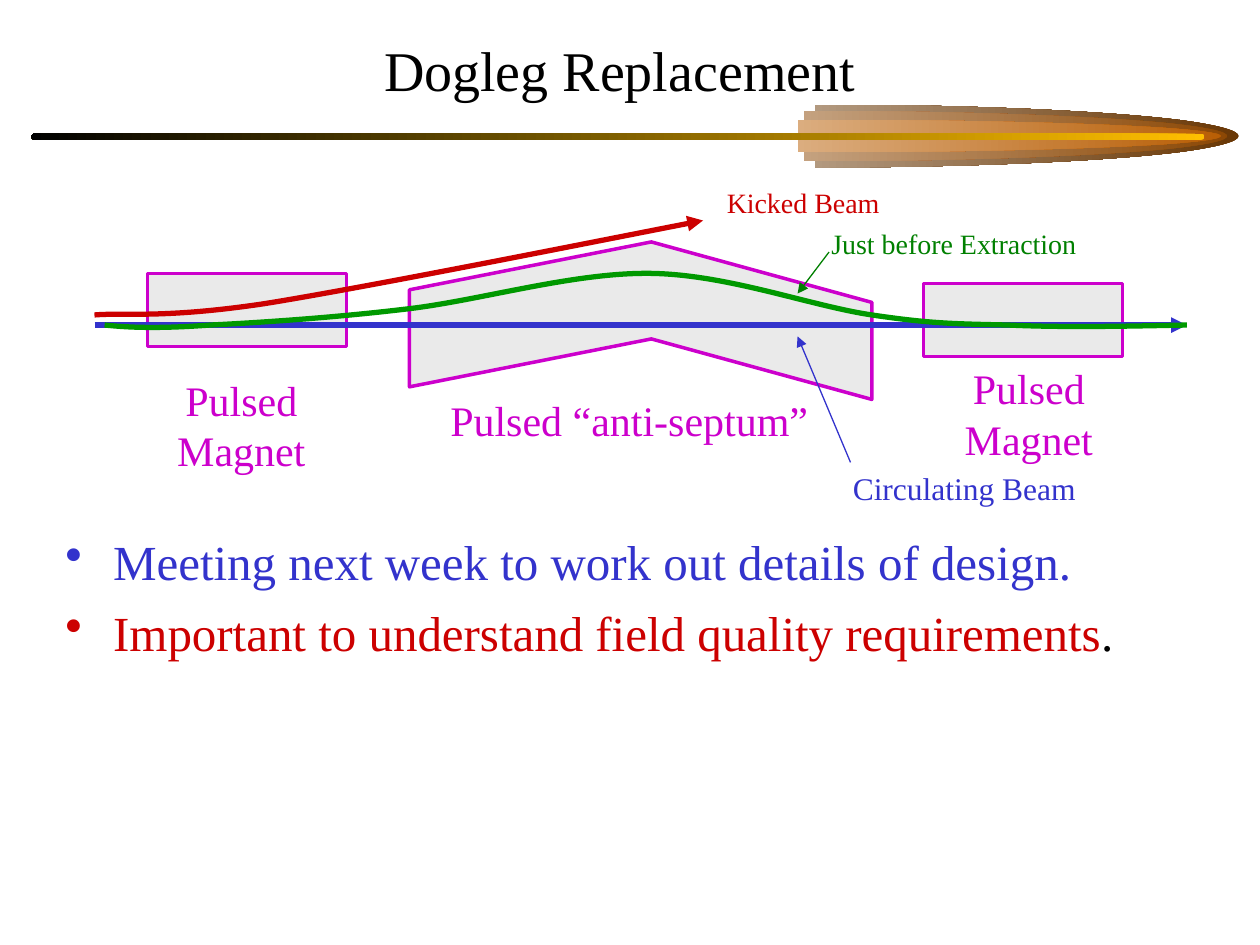
import pptx
import pptx.util
import pptx.dml.color
import pptx.enum.shapes
import pptx.enum.text
import pptx.oxml
import pptx.oxml.ns
from pptx.util import Inches

RGBColor = pptx.dml.color.RGBColor
SHAPES = pptx.enum.shapes.MSO_SHAPE
ALIGN = pptx.enum.text.PP_ALIGN
ANCHOR = pptx.enum.text.MSO_ANCHOR

BLACK = RGBColor(0, 0, 0)
WHITE = RGBColor(255, 255, 255)
BLUE = RGBColor(0x33, 0x33, 0xCC)
RED = RGBColor(0xCC, 0, 0)
MAGENTA = RGBColor(0xCC, 0, 0xCC)
GREEN = RGBColor(0, 0x99, 0)
DARK_GREEN = RGBColor(0, 0x80, 0)
GRAY = RGBColor(0xEA, 0xEA, 0xEA)
GOLD = RGBColor(0xFF, 0xBF, 0)
FONT = "Times New Roman"

COMET_AXIS = 1.08
COMETS = [
    (6.47, 0.25, RGBColor(0x66, 0x33, 0)),
    (6.38, 0.2, RGBColor(0x89, 0x44, 0)),
    (6.33, 0.13, RGBColor(0xB7, 0x5B, 0)),
]
COMET_OUTLINE = [
    (0, -1), (1.2, -1), (2.31, -0.8), (2.91, -0.5), (3.51, -0.17),
    (3.51, 0.17), (2.91, 0.5), (2.31, 0.8), (1.2, 1), (0, 1),
]
MAGNETS = [(1.17, 2.17), (7.33, 2.25)]
SEPTUM = [(3.25, 2.3), (5.17, 1.92), (6.92, 2.4), (6.92, 3.17), (5.17, 2.69), (3.25, 3.07)]
EXTRACTION_ORBIT = [
    (0.83, 2.58), (1.02, 2.6), (1.26, 2.61), (1.67, 2.58),
    (2.07, 2.56), (2.67, 2.52), (3.25, 2.45),
    (3.83, 2.38), (4.56, 2.16), (5.17, 2.17),
    (5.78, 2.18), (6.44, 2.43), (6.92, 2.5),
    (7.39, 2.57), (7.58, 2.57), (8, 2.58),
    (8.42, 2.6), (8.92, 2.59), (9.42, 2.58),
]
KICKED_ORBIT = [
    (0.75, 2.5), (0.98, 2.48), (1.3, 2.53), (2.1, 2.41),
    (2.91, 2.28), (4.86, 1.89), (5.58, 1.75),
]
POINTERS = [
    ((6.75, 3.67), (6.33, 2.67), BLUE),
    ((6.58, 2), (6.33, 2.33), DARK_GREEN),
]
LABELS = [
    ("Pulsed “anti-septum”", (3.33, 3.08, 3.33, 0.5), 24, MAGENTA, ALIGN.CENTER),
    ("Pulsed Magnet", (7.09, 2.83, 2.15, 0.9), 24, MAGENTA, ALIGN.CENTER),
    ("Pulsed Magnet", (0.84, 2.92, 2.15, 0.9), 24, MAGENTA, ALIGN.CENTER),
    ("Kicked Beam", (5.67, 1.42, 1.67, 0.37), 16, RED, ALIGN.LEFT),
    ("Circulating Beam", (6.67, 3.67, 2.33, 0.4), 18, BLUE, ALIGN.LEFT),
    ("Just before Extraction", (6.5, 1.75, 2.33, 0.37), 16, DARK_GREEN, ALIGN.LEFT),
]
BULLETS = [
    [("Meeting next week to work out details of design.", BLUE)],
    [("Important to understand field quality requirements", RED), (".", BLACK)],
]


def add_element(parent, tag, **attributes):
    element = pptx.oxml.parse_xml(f"<a:{tag} {pptx.oxml.ns.nsdecls('a')}/>")
    for name, value in attributes.items():
        element.set(name, value)
    parent.append(element)
    return element


def add_text(page, paragraphs, place, size, align=ALIGN.LEFT, anchor=ANCHOR.TOP, bullet=False):
    box = page.shapes.add_textbox(*map(Inches, place))
    frame = box.text_frame
    frame.word_wrap = True
    frame.vertical_anchor = anchor
    for index, spans in enumerate(paragraphs):
        para = frame.paragraphs[0] if index == 0 else frame.add_paragraph()
        if bullet:
            properties = para._p.get_or_add_pPr()
            properties.set("marL", str(Inches(0.38)))
            properties.set("indent", str(-Inches(0.38)))
            color = add_element(properties, "buClr")
            add_element(color, "srgbClr", val=str(spans[0][1]))
            add_element(properties, "buChar", char="•")
        para.alignment = align
        if index:
            para.space_before = pptx.util.Pt(7)
        for text, color in spans:
            span = para.add_run()
            span.text = text
            span.font.name = FONT
            span.font.size = pptx.util.Pt(size)
            span.font.color.rgb = color


def set_line(shape, color, width, arrow=False):
    shape.line.color.rgb = color
    shape.line.width = pptx.util.Pt(width)
    if arrow:
        add_element(shape.line._get_or_add_ln(), "tailEnd", type="triangle")


def set_fill(shape, color):
    shape.shadow.inherit = False
    shape.fill.solid()
    shape.fill.fore_color.rgb = color


def set_gradient(shape, right, left):
    shape.shadow.inherit = False
    shape.line.fill.background()
    shape.fill.gradient()
    shape.fill.gradient_angle = 180
    for stop, position, color in zip(shape.fill.gradient_stops, (0, 1), (right, left)):
        stop.position = position
        stop.color.rgb = color


def add_outline(page, points, close=False, curved=False):
    start, *others = [(Inches(x), Inches(y)) for x, y in points]
    builder = page.shapes.build_freeform(*start)
    builder.add_line_segments(others, close=close)
    shape = builder.convert_to_shape()
    shape.shadow.inherit = False
    if curved:
        segments = list(shape._element.iter(pptx.oxml.ns.qn("a:lnTo")))
        for first in range(0, len(segments), 3):
            curve = pptx.oxml.parse_xml(f"<a:cubicBezTo {pptx.oxml.ns.nsdecls('a')}/>")
            segments[first].addprevious(curve)
            for segment in segments[first:first + 3]:
                curve.append(segment[0])
                segment.getparent().remove(segment)
    return shape


def add_arrow(page, start, end, color, width):
    arrow = page.shapes.add_connector(
        pptx.enum.shapes.MSO_CONNECTOR.STRAIGHT, *map(Inches, start + end))
    set_line(arrow, color, width, arrow=True)
    add_element(arrow._element.spPr, "effectLst")


def add_banner(page):
    for left, half, color in COMETS:
        points = [(left + x, COMET_AXIS + half * y) for x, y in COMET_OUTLINE]
        comet = add_outline(page, points, close=True, curved=True)
        set_gradient(comet, color, RGBColor(*((part + 255) // 2 for part in color)))
    bar = page.shapes.add_shape(
        SHAPES.ROUNDED_RECTANGLE, *map(Inches, (0.25, 1.06, 9.31, 0.05)))
    bar.adjustments[0] = 0.5
    set_gradient(bar, GOLD, BLACK)


def add_beamline(page):
    for left, top in MAGNETS:
        magnet = page.shapes.add_shape(
            SHAPES.RECTANGLE, *map(Inches, (left, top, 1.58, 0.58)))
        set_fill(magnet, GRAY)
        set_line(magnet, MAGENTA, 2)
    septum = add_outline(page, SEPTUM, close=True)
    set_fill(septum, GRAY)
    set_line(septum, MAGENTA, 2)
    add_arrow(page, (0.75, 2.58), (9.42, 2.58), BLUE, 3)
    for points, color, arrow in ((EXTRACTION_ORBIT, GREEN, False), (KICKED_ORBIT, RED, True)):
        orbit = add_outline(page, points, curved=True)
        orbit.fill.background()
        set_line(orbit, color, 3, arrow)
    for start, end, color in POINTERS:
        add_arrow(page, start, end, color, 0.75)


def main():
    deck = pptx.Presentation()
    deck.slide_width, deck.slide_height = Inches(10), Inches(7.5)
    page = deck.slides.add_slide(deck.slide_layouts[6])
    page.background.fill.solid()
    page.background.fill.fore_color.rgb = WHITE
    add_banner(page)
    add_text(page, [[("Dogleg Replacement", BLACK)]], (0.67, 0.17, 8.5, 0.75), 32,
             align=ALIGN.CENTER, anchor=ANCHOR.MIDDLE)
    add_text(page, BULLETS, (0.42, 4.17, 9.08, 2.83), 28, bullet=True)
    add_beamline(page)
    for text, place, size, color, align in LABELS:
        add_text(page, [[(text, color)]], place, size, align=align)
    deck.save("out.pptx")


if __name__ == "__main__":
    main()
